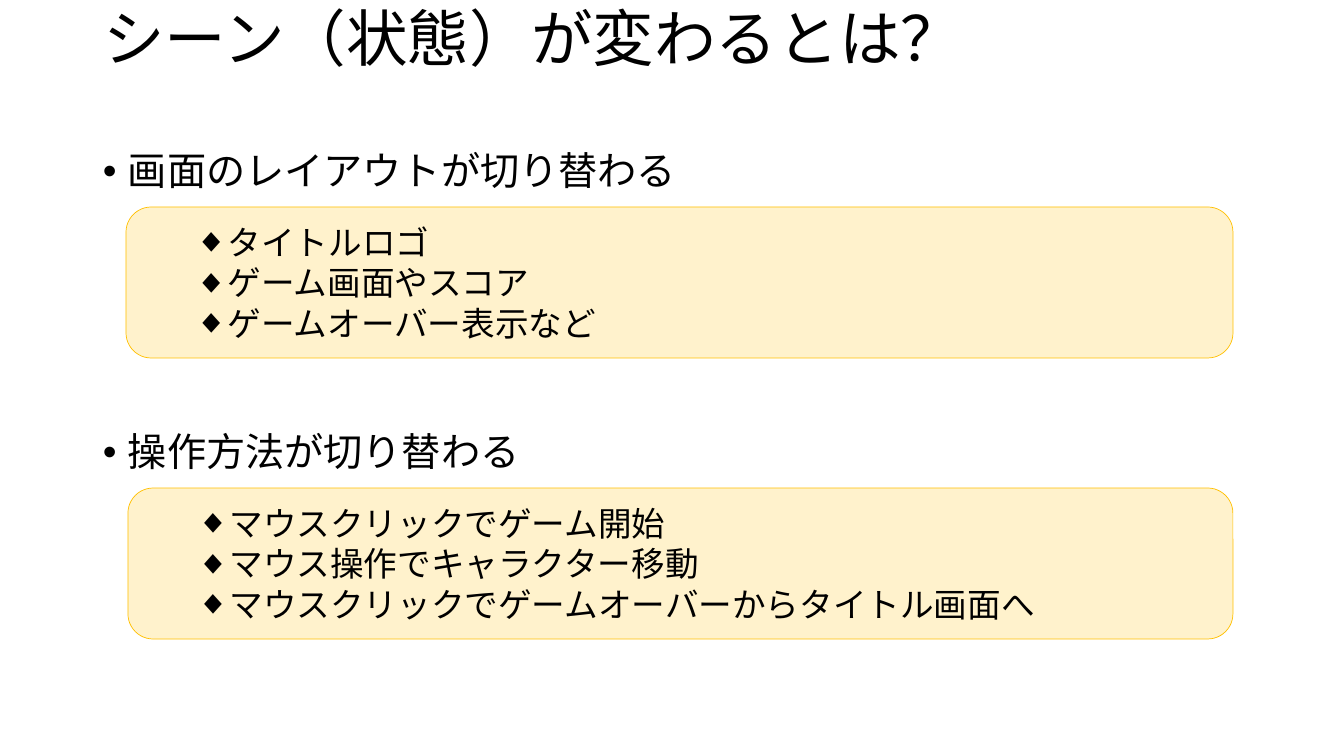
import dataclasses

import lxml.etree
import pptx
import pptx.dml.color
import pptx.enum.shapes
import pptx.enum.text
import pptx.oxml.ns
import pptx.util

PX = 914400 / 100.8
FONT = "Courier New"
COLORS = {"text": "000000", "card": "FFF2CC", "border": "FFC000"}
SECTION_TOP = 147
SECTION_PITCH = 281
CARD_OFFSET = 60
CARD_RIGHT = 1233
CARD_HEIGHT = 151


@dataclasses.dataclass(frozen=True)
class Section:
    """A heading with the card of examples below it."""

    heading: str
    card_left: int
    examples: tuple[str, ...]


SECTIONS = (
    Section("画面のレイアウトが切り替わる", 126,
            ("タイトルロゴ", "ゲーム画面やスコア", "ゲームオーバー表示など")),
    Section("操作方法が切り替わる", 128,
            ("マウスクリックでゲーム開始", "マウス操作でキャラクター移動",
             "マウスクリックでゲームオーバーからタイトル画面へ")),
)


def px(length: float) -> pptx.util.Emu:
    """Turn pixels into EMU."""
    return pptx.util.Emu(round(length * PX))


def color(name: str) -> pptx.dml.color.RGBColor:
    """Look up a named colour."""
    return pptx.dml.color.RGBColor.from_string(COLORS[name])


def style(paragraph, size: int, spacing: float = 1.0) -> None:
    """Set the font, alignment and line spacing of a paragraph."""
    paragraph.alignment = pptx.enum.text.PP_ALIGN.LEFT
    paragraph.line_spacing = spacing
    paragraph.font.name = FONT
    paragraph.font.size = pptx.util.Pt(size)
    paragraph.font.color.rgb = color("text")


def add_bullet(paragraph, mark: str, margin: int, hanging: int) -> None:
    """Give a paragraph a bullet with a hanging indent."""
    properties = paragraph._p.get_or_add_pPr()
    properties.set("marL", str(px(margin)))
    properties.set("indent", str(-px(hanging)))
    for tag, key, value in (("a:buFont", "typeface", "Arial"), ("a:buChar", "char", mark)):
        lxml.etree.SubElement(properties, pptx.oxml.ns.qn(tag)).set(key, value)


def add_heading(slide, text: str, top: int) -> None:
    """Add the bulleted heading of a section."""
    frame = slide.shapes.add_textbox(px(93), px(top), px(1159), px(56)).text_frame
    frame.word_wrap = True
    paragraph = frame.paragraphs[0]
    paragraph.text = text
    add_bullet(paragraph, "•", 25, 25)
    style(paragraph, 28, 0.9)


def add_card(slide, section: Section, top: int) -> None:
    """Add the rounded card that lists the examples of a section."""
    card = slide.shapes.add_shape(
        pptx.enum.shapes.MSO_SHAPE.ROUNDED_RECTANGLE, px(section.card_left), px(top),
        px(CARD_RIGHT - section.card_left), px(CARD_HEIGHT))
    card.shadow.inherit = False
    card.fill.solid()
    card.fill.fore_color.rgb = color("card")
    card.line.color.rgb = color("border")
    card.line.width = pptx.util.Pt(0.5)
    frame = card.text_frame
    frame.vertical_anchor = pptx.enum.text.MSO_ANCHOR.MIDDLE
    frame.text = "\n".join(section.examples)
    for paragraph in frame.paragraphs:
        paragraph.level = 1
        add_bullet(paragraph, "◆", 82, 31)
        style(paragraph, 24)


def add_title(slide, text: str) -> None:
    """Place and format the slide title."""
    title = slide.shapes.title
    title.left, title.top, title.width, title.height = px(93), px(2), px(1159), px(80)
    frame = title.text_frame
    frame.text = text
    frame.auto_size = pptx.enum.text.MSO_AUTO_SIZE.NONE
    frame.vertical_anchor = pptx.enum.text.MSO_ANCHOR.MIDDLE
    style(frame.paragraphs[0], 44, 0.9)


def main() -> None:
    """Build and save the slide."""
    deck = pptx.Presentation()
    deck.slide_width, deck.slide_height = px(1344), px(756)
    slide = deck.slides.add_slide(deck.slide_layouts[5])
    add_title(slide, "シーン（状態）が変わるとは？")
    for index, section in enumerate(SECTIONS):
        top = SECTION_TOP + index * SECTION_PITCH
        add_heading(slide, section.heading, top)
        add_card(slide, section, top + CARD_OFFSET)
    deck.save("out.pptx")


main()
